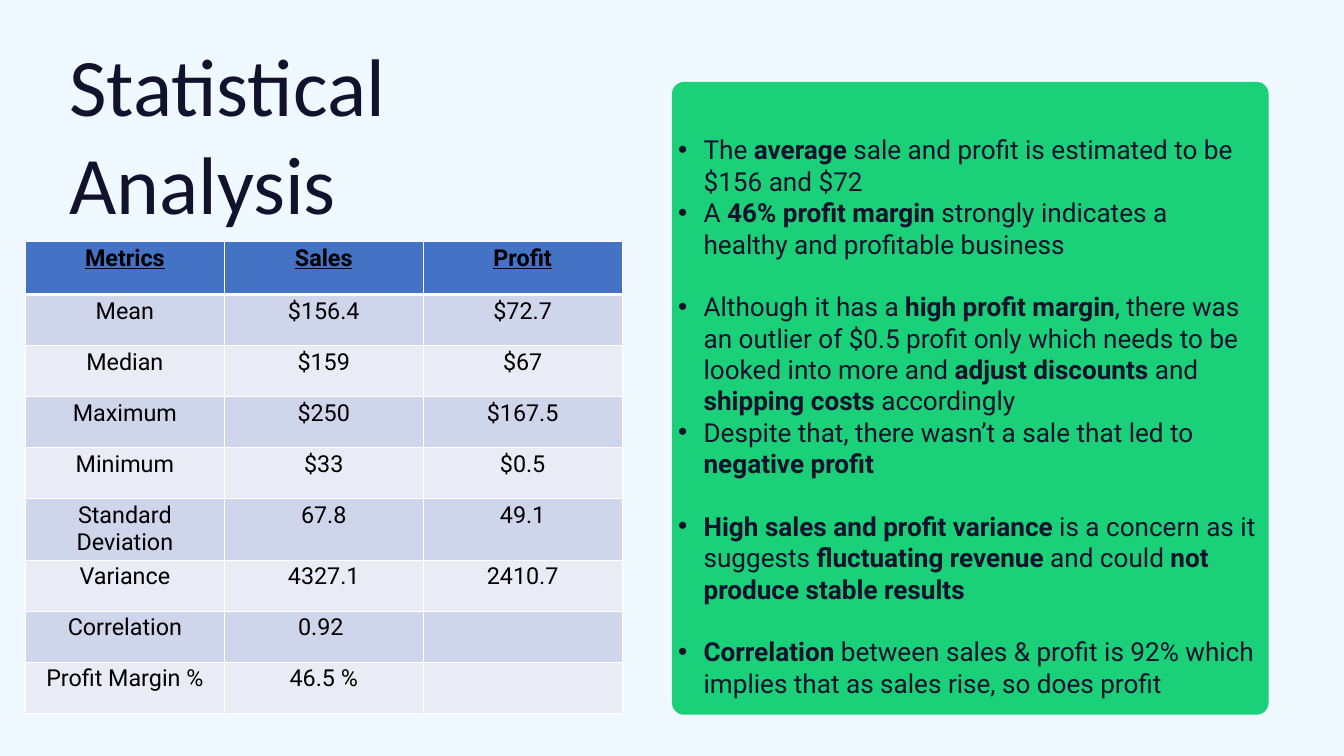
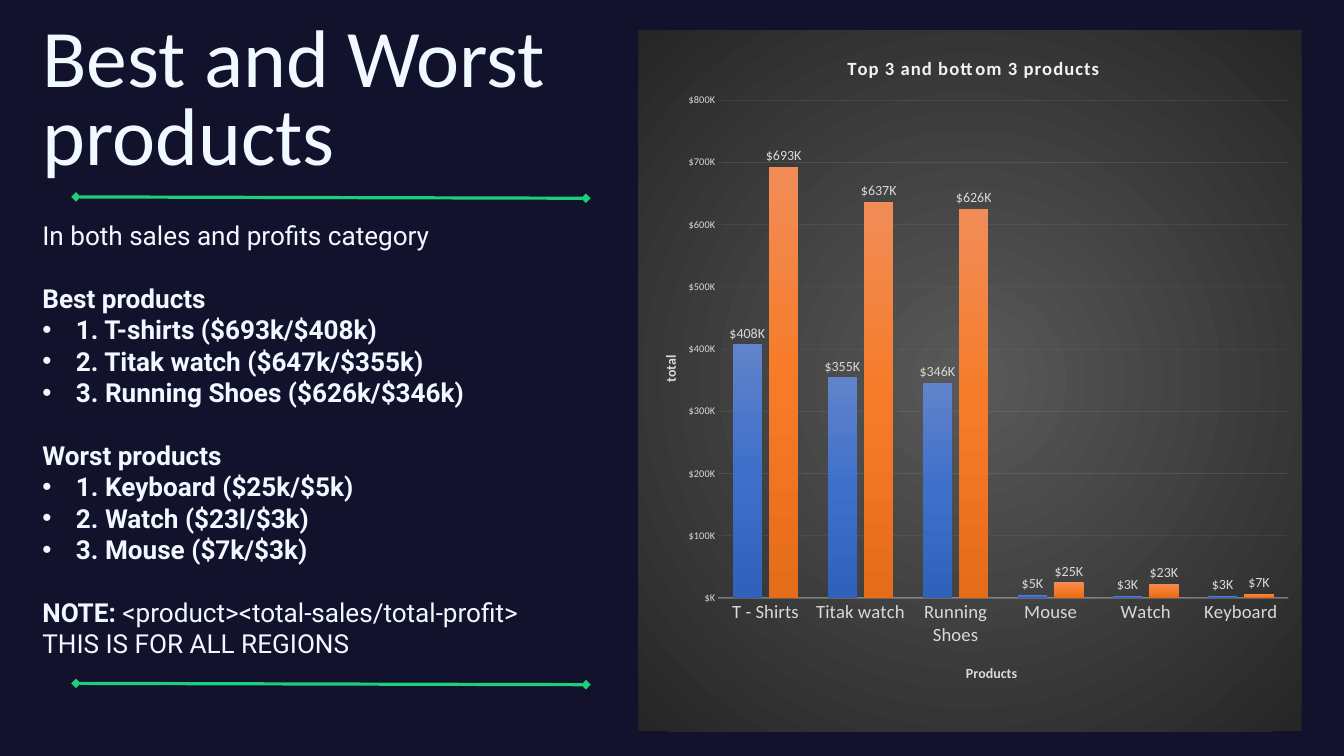
from lxml import etree
from pptx import Presentation
from pptx.chart.data import CategoryChartData
from pptx.dml.color import RGBColor
from pptx.enum import chart as ec, shapes, text
from pptx.oxml import parse_xml
from pptx.oxml.ns import nsdecls, qn
from pptx.util import Pt

NAVY, ICE, GREEN = "13122D", "F0F9FF", "1AD079"
BLUE, BAND, PALE, WHITE = "4472C4", "CFD5EA", "E9EBF5", "FFFFFF"
GREY, LIGHT = "D9D9D9", "F2F2F2"
HEAD, BODY = "Calibri", "Roboto"
GAP = 33.6  # one body line
MONEY = '"$"#,\\K;\\("$"#,\\K\\)'


def rgb(code):
    return RGBColor.from_string(code)


def sub(parent, tag, **attrs):
    node = etree.SubElement(parent, qn(tag))
    for key, val in attrs.items():
        node.set(key, str(val))
    return node


def style(font, size, color, bold=False, face=BODY):
    font.name, font.size, font.bold = face, Pt(size), bold
    font.color.rgb = rgb(color)


def box(*sides):
    return [Pt(side) for side in sides]


def fade(stops, shade):
    """Gradient fill from (percent, colour) stops and a shade element."""
    marks = "".join(f'<a:gs pos="{pos * 1000}"><a:srgbClr val="{code}"/></a:gs>'
                    for pos, code in stops)
    return parse_xml(f'<a:gradFill {nsdecls("a")} rotWithShape="1">'
                     f'<a:gsLst>{marks}</a:gsLst>{shade}</a:gradFill>')


def veil(node, alpha):
    """Make every colour under node see-through; alpha in percent."""
    for color in node.iter(qn("a:srgbClr")):
        sub(color, "a:alpha", val=alpha * 1000)


def place(node, spot, x, y, w=None, h=None):
    """Fix a chart part at fractions of the chart area."""
    for old in node.findall(qn("c:layout")):
        node.remove(old)
    frame = etree.Element(qn("c:layout"))
    node.insert(spot, frame)
    hand = sub(frame, "c:manualLayout")
    if w:
        sub(hand, "c:layoutTarget", val="inner")
    sub(hand, "c:xMode", val="edge")
    sub(hand, "c:yMode", val="edge")
    for key, val in zip("xywh", (x, y, w, h)):
        if val is not None:
            sub(hand, f"c:{key}", val=val)


def label(title, words, size, color, x, y):
    frame = title.text_frame
    run = frame.paragraphs[0].add_run()
    run.text = words
    style(run.font, size, color, True, HEAD)
    place(title._element, 1, x, y)
    return run


class Deck:
    def __init__(self):
        self.prs = Presentation()
        self.prs.slide_width, self.prs.slide_height = Pt(1440), Pt(810)

    def page(self, back, ink):
        self.slide = self.prs.slides.add_slide(self.prs.slide_layouts[5])
        self.ink = ink
        fill = self.slide.background.fill
        fill.solid()
        fill.fore_color.rgb = rgb(back)

    def frame(self, shape):
        frame = shape.text_frame
        frame.word_wrap = True
        frame.auto_size = text.MSO_AUTO_SIZE.NONE
        frame.vertical_anchor = text.MSO_ANCHOR.TOP
        frame.margin_left = frame.margin_right = 0
        frame.margin_top = frame.margin_bottom = 0
        return frame

    def title(self, words, area, space=1.0):
        shape = self.slide.shapes.title
        shape.left, shape.top, shape.width, shape.height = box(*area)
        para = self.frame(shape).paragraphs[0]
        para.alignment = text.PP_ALIGN.LEFT
        para.line_spacing = space
        run = para.add_run()
        run.text = words
        style(run.font, 87.5, self.ink, face=HEAD)

    def card(self, area):
        kind = shapes.MSO_SHAPE.ROUNDED_RECTANGLE
        shape = self.slide.shapes.add_shape(kind, *box(*area))
        shape.adjustments[0] = 0.02
        shape.shadow.inherit = False
        shape.fill.solid()
        shape.fill.fore_color.rgb = rgb(GREEN)
        shape.line.fill.background()

    def prose(self, area, lines):
        """Lines are (indent, gap before, words); *stars* mark bold."""
        frame = self.frame(self.slide.shapes.add_textbox(*box(*area)))
        for num, (indent, gap, words) in enumerate(lines):
            para = frame.add_paragraph() if num else frame.paragraphs[0]
            para.space_before = Pt(gap)
            if indent:
                props = para._p.get_or_add_pPr()
                props.set("marL", str(Pt(indent)))
                props.set("indent", str(-Pt(indent)))
                sub(props, "a:buFont", typeface="Arial")
                sub(props, "a:buChar", char="•")
            for part, piece in enumerate(words.split("*")):
                if piece:
                    run = para.add_run()
                    run.text = piece
                    style(run.font, 28, self.ink, part % 2 == 1)

    def cell(self, cell, words, fill, head):
        props = cell._tc.get_or_add_tcPr()
        for side in "LRTB":
            wide = 3 if head and side == "B" else 1
            edge = sub(props, f"a:ln{side}", w=Pt(wide))
            sub(sub(edge, "a:solidFill"), "a:srgbClr", val=WHITE)
        cell.fill.solid()
        cell.fill.fore_color.rgb = rgb(fill)
        if words:
            para = cell.text_frame.paragraphs[0]
            para.alignment = text.PP_ALIGN.CENTER
            run = para.add_run()
            run.text = words
            style(run.font, 25, "000000", head)
            run.font.underline = head

    def table(self, area, rows):
        grid = self.slide.shapes.add_table(len(rows), len(rows[0]), *box(*area)).table
        for r, row in enumerate(rows):
            grid.rows[r].height = Pt(54.7 if r else 56.9)
            fill = (PALE, BAND)[r % 2] if r else BLUE
            for c, words in enumerate(row):
                self.cell(grid.cell(r, c), words, fill, r == 0)

    def rule(self, x, y, end, drop):
        kind = shapes.MSO_CONNECTOR.STRAIGHT
        line = self.slide.shapes.add_connector(kind, *box(x, y, end, y + drop))
        line.line.color.rgb = rgb(GREEN)
        line.line.width = Pt(3.42)
        props = line._element.spPr
        for tip in ("a:headEnd", "a:tailEnd"):
            sub(props.find(qn("a:ln")), tip, type="diamond")
        sub(props, "a:effectLst")

    def chart(self, area, cats, series):
        """Series are (name, values, three gradient colours)."""
        data = CategoryChartData(number_format=MONEY)
        data.categories = cats
        for name, vals, _ in series:
            data.add_series(name, vals)
        kind = ec.XL_CHART_TYPE.COLUMN_CLUSTERED
        chart = self.slide.shapes.add_chart(kind, *box(*area), data).chart
        chart.has_legend = False
        style(chart.font, 10, GREY, face=HEAD)
        plot = chart.plots[0]
        plot.gap_width, plot.overlap, plot.vary_by_categories = 100, -24, False
        for ser, (_, _, tones) in zip(plot.series, series):
            ser.format.fill.solid()
            props = ser._element.find(qn("c:spPr"))
            props.replace(props.find(qn("a:solidFill")),
                          fade(zip((0, 50, 100), tones), '<a:lin ang="5400000"/>'))
            tags = ser.data_labels
            tags.show_value = True
            tags.position = ec.XL_LABEL_POSITION.OUTSIDE_END
            tags.number_format, tags.number_format_is_linked = MONEY, False
            style(tags.font, 15, GREY, face=HEAD)
        self.axes(chart)
        chart.has_title = True
        top = label(chart.chart_title, "Top 3 and bottom 3 products", 20, LIGHT, 0.31, 0.03)
        top._r.get_or_add_rPr().set("spc", "100")
        place(chart._chartSpace.chart.plotArea, 0, 0.12, 0.1, 0.86, 0.71)
        props = parse_xml(f'<c:spPr {nsdecls("c", "a")}/>')
        ring = ('<a:path path="circle"><a:fillToRect l="50000" t="50000" '
                'r="50000" b="50000"/></a:path>')
        props.append(fade([(0, "595959"), (100, "262626")], ring))
        sub(sub(props, "a:ln"), "a:noFill")
        chart._chartSpace.find(qn("c:txPr")).addprevious(props)

    def axes(self, chart):
        cat, val = chart.category_axis, chart.value_axis
        for axis, size in ((cat, 20), (val, 11)):
            axis.major_tick_mark = axis.minor_tick_mark = ec.XL_TICK_MARK.NONE
            style(axis.tick_labels.font, size, GREY, face=HEAD)
        label(cat.axis_title, "Products", 15, GREY, 0.49, 0.9)
        label(val.axis_title, "total", 15, GREY, 0.03, 0.46)
        turn = val.axis_title.text_frame._txBody.find(qn("a:bodyPr"))
        turn.set("rot", "-5400000")
        turn.set("vert", "horz")
        val.minimum_scale, val.maximum_scale, val.major_unit = 0, 800000, 100000
        val.tick_labels.number_format = MONEY
        val.tick_labels.number_format_is_linked = False
        val.format.line.fill.background()
        val.has_major_gridlines = True
        grid = val.major_gridlines.format.line
        for line, wide in ((grid, 0.75), (cat.format.line, 1)):
            line.color.rgb = rgb(LIGHT)
            line.width = Pt(wide)
        veil(val._element.find(qn("c:majorGridlines")), 10)
        veil(cat._element.find(qn("c:spPr")), 54)


def stats(deck):
    deck.page(ICE, NAVY)
    deck.title("Statistical Analysis", (74.2, 37.4, 626.4, 212.4))
    deck.card((720, 87.8, 639.2, 678))
    notes = [
        (0, "The *average* sale and profit is estimated to be $156 and $72"),
        (0, "A *46% profit margin* strongly indicates a healthy and profitable business"),
        (GAP, "Although it has a *high profit margin*, there was an outlier of $0.5 profit "
              "only which needs to be looked into more and *adjust discounts* and "
              "*shipping costs *accordingly"),
        (0, "Despite that, there wasn’t a sale that led to *negative profit*"),
        (GAP, "*High sales and profit variance *is a concern as it suggests "
              "*fluctuating revenue *and could *not produce stable results*"),
        (GAP, "*Correlation* between sales & profit is 92% which implies that as sales "
              "rise, so does profit"),
    ]
    deck.prose((726.5, 143.3, 620, 610.6), [(27.4, gap, words) for gap, words in notes])
    deck.table((27.2, 258.5, 639.4, 494.5), [
        ("Metrics", "Sales", "Profit"),
        ("Mean", "$156.4", "$72.7"),
        ("Median", "$159", "$67"),
        ("Maximum", "$250", "$167.5"),
        ("Minimum", "$33", "$0.5"),
        ("Standard Deviation", "67.8", "49.1"),
        ("Variance", "4327.1", "2410.7"),
        ("Correlation", "0.92 ", ""),
        ("Profit Margin %", "46.5 %", ""),
    ])


def ranks(deck):
    deck.page(NAVY, ICE)
    deck.title("Best and Worst products", (45.4, 26.6, 639.4, 170), 0.8)
    deck.prose((45.4, 235.4, 582.5, 475.2), [
        (0, 0, "In both sales and profits category"),
        (0, GAP, "*Best products*"),
        (36, 0, "*1. T-shirts ($693k/$408k)*"),
        (36, 0, "*2. Titak watch ($647k/$355k)*"),
        (36, 0, "*3. Running Shoes ($626k/$346k)*"),
        (0, GAP, "*Worst products*"),
        (36, 0, "*1. Keyboard ($25k/$5k)*"),
        (36, 0, "*2. Watch ($23l/$3k)*"),
        (36, 0, "*3. Mouse ($7k/$3k)*"),
        (0, GAP, "*NOTE: *<product><total-sales/total-profit>"),
        (0, 0, "THIS IS FOR ALL REGIONS"),
    ])
    for y in (732.2, 211):
        deck.rule(81.4, y, 627.8, 1.4)
    deck.chart(
        (684, 32.4, 710.6, 751),
        ("T - Shirts", "Titak watch", "Running Shoes", "Mouse", "Watch", "Keyboard"),
        [("Profit", (408000, 355000, 346000, 5000, 3000, 3000),
          ("6183CB", "3E70CA", "3062BB")),
         ("Sales", (693000, 637000, 626000, 25000, 23000, 7000),
          ("F18C57", "F67B28", "E56C19"))])


def main():
    deck = Deck()
    stats(deck)
    ranks(deck)
    deck.prs.save("out.pptx")


if __name__ == "__main__":
    main()
